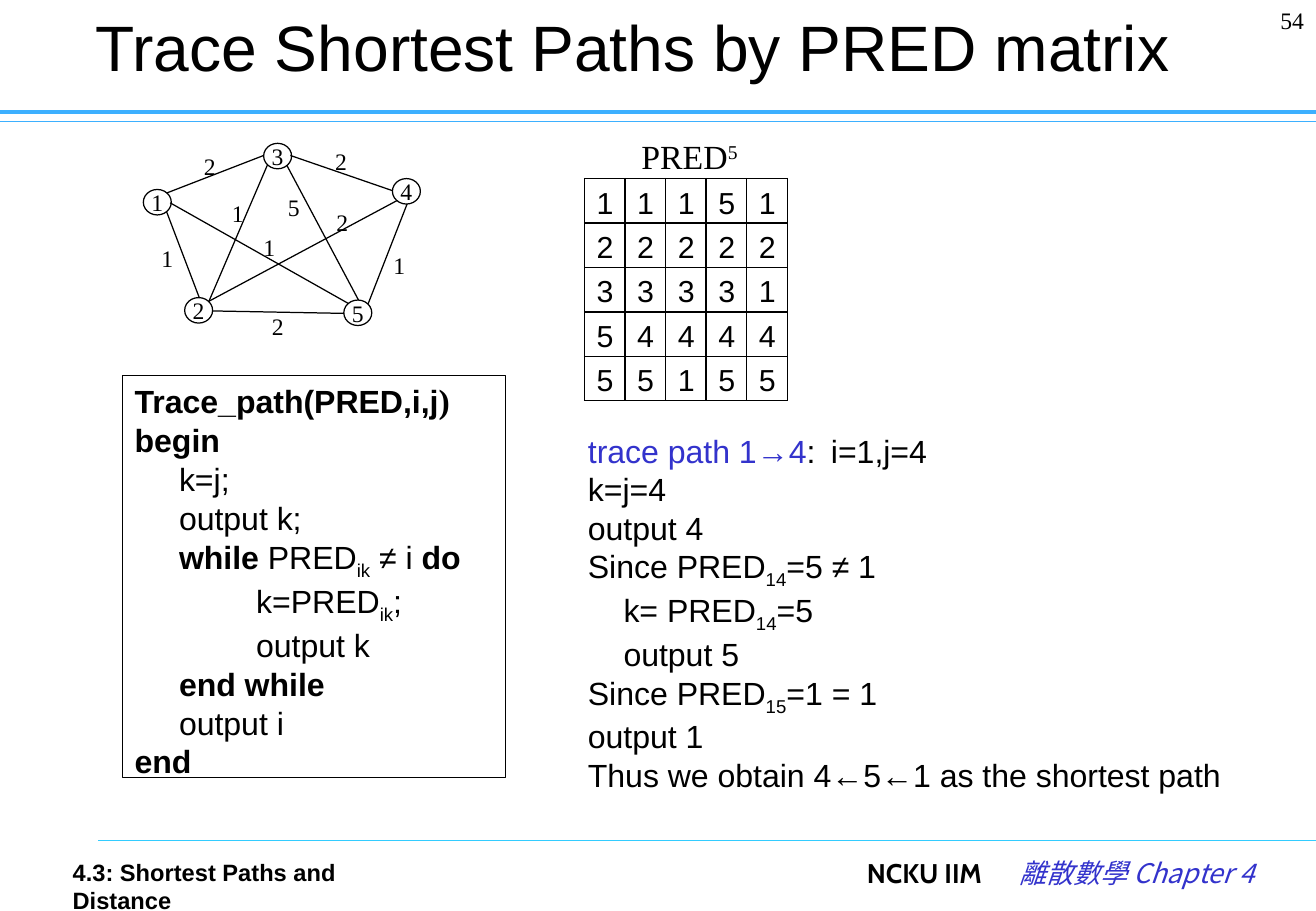
from lxml.etree import SubElement
from pptx import Presentation
from pptx.dml.color import RGBColor
from pptx.enum.shapes import MSO_CONNECTOR, MSO_SHAPE
from pptx.enum.text import MSO_ANCHOR, PP_ALIGN
from pptx.oxml.ns import qn
from pptx.util import Inches, Pt

COLORS = {"ink": "000000", "accent": "3333CC", "rule": "3DB0FF", "foot": "33CCFF"}
SERIF, SANS = "Times New Roman", "Arial"
COLS, ROWS = 108.3, 75
SUB, SUP = -25, 30
BOLD = {"bold": True}


def grid(n):
    return Inches(n / 10)


def rgb(name):
    return RGBColor.from_string(COLORS[name])


def add_run(p, text, size=19, font=SANS, color="ink", bold=False, italic=False, base=0):
    r = p.add_run()
    r.text = text
    r.font.size, r.font.name = Pt(size), font
    r.font.bold, r.font.italic = bold, italic
    r.font.color.rgb = rgb(color)
    rPr = r._r.get_or_add_rPr()
    SubElement(rPr, qn("a:ea")).set("typeface", font)
    if base:
        rPr.set("baseline", str(base * 1000))


class Slide:
    """One slide on a grid of tenths of an inch."""

    def __init__(self, prs):
        self.s = prs.slides.add_slide(prs.slide_layouts[6])
        self.shapes = self.s.shapes

    def fill_text(self, tf, paras, align=PP_ALIGN.LEFT, anchor=MSO_ANCHOR.TOP,
                  wrap=True, leading=None, **fmt):
        tf.word_wrap, tf.vertical_anchor = wrap, anchor
        if isinstance(paras, str):
            paras = [(0, [(paras, {})])]
        for i, (indent, runs) in enumerate(paras):
            p = tf.paragraphs[0] if i == 0 else tf.add_paragraph()
            p.alignment = align
            pPr = p._p.get_or_add_pPr()
            pPr.set("marL", str(grid(indent)))
            pPr.set("indent", "0")
            if leading:
                p.line_spacing = Pt(leading)
                if any(f.get("base") == SUB for _, f in runs):
                    p.space_before = Pt(3.3)
            for text, own in runs:
                add_run(p, text, **{**fmt, **own})

    def text(self, x, y, w, h, paras, **fmt):
        sp = self.shapes.add_textbox(*map(grid, (x, y, w, h)))
        self.fill_text(sp.text_frame, paras, **fmt)

    def line(self, x1, y1, x2, y2, color="ink", width=0.75):
        c = self.shapes.add_connector(MSO_CONNECTOR.STRAIGHT, *map(grid, (x1, y1, x2, y2)))
        c.line.color.rgb, c.line.width = rgb(color), Pt(width)
        SubElement(c._element.spPr, qn("a:effectLst"))

    def shape(self, kind, x, y, w, h, paras, margin=None, **fmt):
        sp = self.shapes.add_shape(kind, *map(grid, (x, y, w, h)))
        sp.shadow.inherit = False
        sp.fill.background()
        sp.line.color.rgb, sp.line.width = rgb("ink"), Pt(0.75)
        tf = sp.text_frame
        if margin is not None:
            tf.margin_left = tf.margin_right = tf.margin_top = tf.margin_bottom = grid(margin)
        self.fill_text(tf, paras, **fmt)

    def matrix(self, x, y, w, h, rows):
        n, m = len(rows), len(rows[0])
        t = self.shapes.add_table(n, m, *map(grid, (x, y, w, h))).table
        t.first_row = t.horz_banding = False
        for col in t.columns:
            col.width = grid(w / m)
        for i, row in enumerate(rows):
            t.rows[i].height = grid(h / n)
            for j, value in enumerate(row):
                cell = t.cell(i, j)
                cell.margin_left, cell.margin_right = grid(1), 0
                cell.margin_top, cell.margin_bottom = grid(0.65), 0
                self.fill_text(cell.text_frame, value, size=18)
                tcPr = cell._tc.get_or_add_tcPr()
                for side in ("lnL", "lnR", "lnT", "lnB"):
                    ln = SubElement(tcPr, qn("a:" + side), w=str(Pt(1)))
                    fill = SubElement(ln, qn("a:solidFill"))
                    SubElement(fill, qn("a:srgbClr"), val=COLORS["ink"])
                cell.fill.background()


NODES = {"1": (11.8, 15.6), "2": (15.2, 24.5), "3": (21.7, 11.8),
         "4": (32.3, 14.7), "5": (28.3, 24.7)}
EDGES = [
    ((13.7, 17.4, 16.4, 24.5), "1", (12.3, 19.6)),
    ((17.2, 24.8, 22, 13.6), "1", (18.1, 15.9)),
    ((23.9, 12.8, 32.3, 15.7), "2", (26.6, 11.6)),
    ((23.6, 13.6, 29.5, 24.7), "5", (22.7, 15.4)),
    ((33.5, 16.8, 30.3, 25), "1", (31.4, 20.2)),
    ((32.7, 16.5, 17.2, 24.8), "2", (26.7, 16.6)),
    ((28.3, 25.8, 17.5, 25.6), "2", (21.4, 25.2)),
    ((14, 16.7, 28.7, 25), "1", (20.7, 18.7)),
    ((13.7, 15.9, 21.7, 12.8), "2", (15.8, 12)),
]
PRED = ["11151", "22222", "33331", "54444", "55155"]
CODE = [
    (0, [("Trace_path(PRED,i,j", BOLD), (")", {"bold": True, "size": 20, "font": SERIF})]),
    (0, [("begin", BOLD)]),
    (3.65, [("k=j;", {})]),
    (3.65, [("output k;", {})]),
    (3.65, [("while", BOLD), (" PRED", {}), ("ik", {"base": SUB}), (" ≠ i ", {}), ("do", BOLD)]),
    (10, [("k=PRED", {}), ("ik", {"base": SUB}), (";", {})]),
    (10, [("output k", {})]),
    (3.65, [("end while", BOLD)]),
    (3.65, [("output i", {})]),
    (0, [("end", BOLD)]),
]
TRACE = [
    (0, [("trace path 1→4", {"color": "accent"}), (":\ti=1,j=4", {})]),
    (0, [("k=j=4", {})]),
    (0, [("output 4", {})]),
    (0, [("Since PRED", {}), ("14", {"base": SUB}), ("=5 ≠ 1", {})]),
    (2.93, [("k= PRED", {}), ("14", {"base": SUB}), ("=5", {})]),
    (2.93, [("output 5", {})]),
    (0, [("Since PRED", {}), ("15", {"base": SUB}), ("=1 = 1", {})]),
    (0, [("output 1", {})]),
    (0, [("Thus we obtain 4←5←1 as the shortest path", {})]),
]


def main():
    prs = Presentation()
    prs.slide_width, prs.slide_height = grid(COLS), grid(ROWS)
    s = Slide(prs)

    s.line(0, 10, COLS, 10, "rule")
    s.line(0, 9.2, COLS, 9.2, "rule", 2.5)
    s.line(8.1, 69.2, COLS, 69.2, "foot")
    s.text(99.3, 0, 9, 5, "54", size=14, font=SERIF, align=PP_ALIGN.RIGHT)
    s.text(4.9, 0, 94.4, 7.5, "Trace Shortest Paths by PRED matrix", size=38,
           align=PP_ALIGN.CENTER, anchor=MSO_ANCHOR.MIDDLE)

    for ends, weight, (x, y) in EDGES:
        s.line(*ends)
        s.text(x, y, 3, 3.3, weight, size=14, font=SERIF, wrap=False)
    for name, (x, y) in NODES.items():
        s.shape(MSO_SHAPE.FLOWCHART_CONNECTOR, x, y, 2.3, 2.1, name, margin=0, size=14,
                font=SERIF, wrap=False, align=PP_ALIGN.CENTER, anchor=MSO_ANCHOR.MIDDLE)

    s.text(51.8, 10.7, 10, 4.3, [(0, [("PRED", {}), ("5", {"base": SUP})])],
           size=20, font=SERIF, wrap=False)
    s.matrix(48.1, 14.7, 16.7, 18.3, PRED)
    s.shape(MSO_SHAPE.RECTANGLE, 10.1, 30.9, 31.5, 33.1, CODE, leading=23)
    s.text(47.4, 35, 54.3, 29.4, TRACE, wrap=False, leading=22.8)

    s.text(5, 70.1, 30, 5, "4.3: Shortest Paths and Distance", size=14, bold=True)
    s.text(66.8, 70, 15, 5, "NCKU IIM", size=16, font="Cabin", bold=True, wrap=False,
           align=PP_ALIGN.RIGHT)
    s.text(80, 70, 24.2, 5, "離散數學 Chapter 4", size=16, font="Noto Sans CJK SC",
           color="accent", italic=True, align=PP_ALIGN.RIGHT)
    prs.save("out.pptx")


if __name__ == "__main__":
    main()
